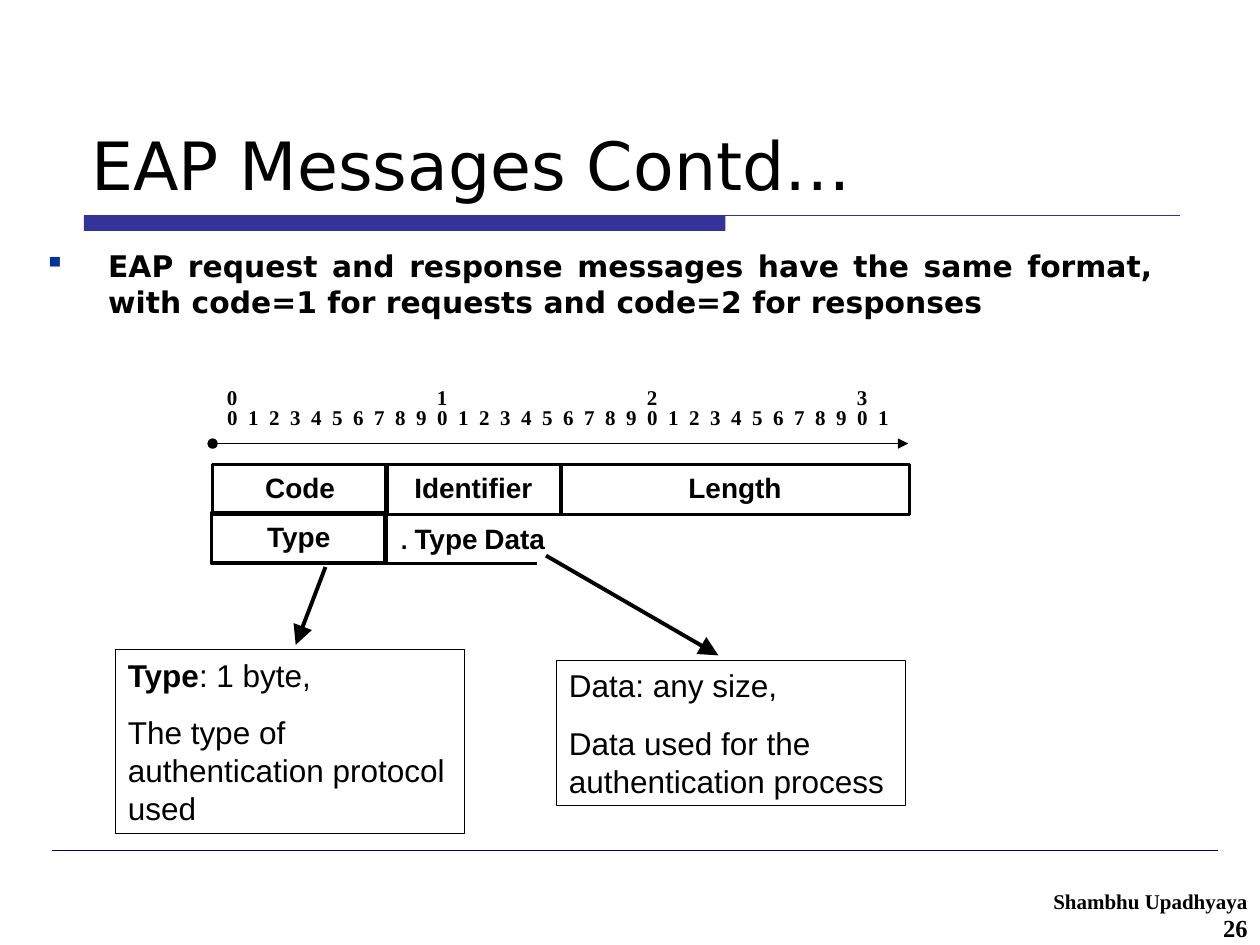
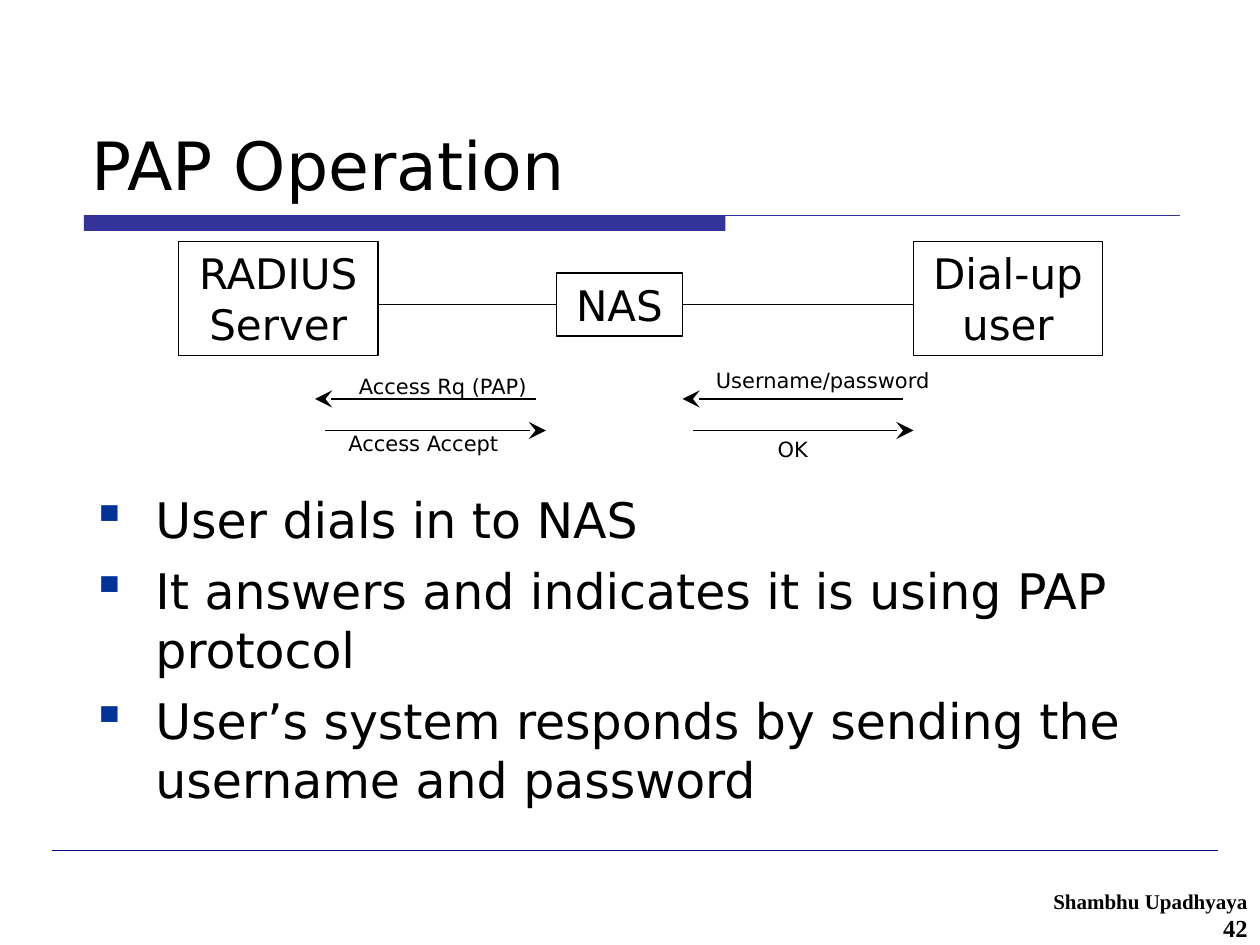
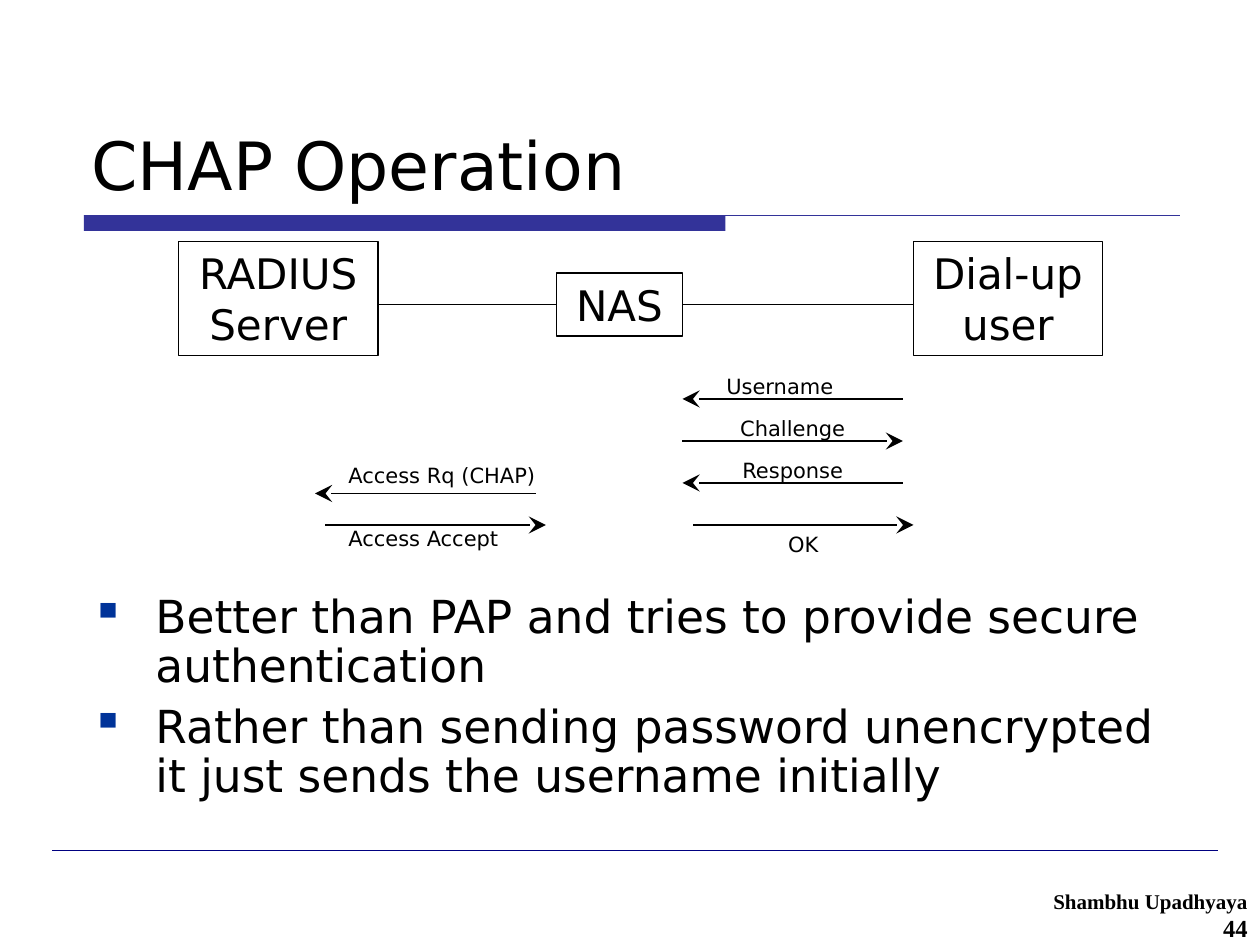
from dataclasses import dataclass
from typing import Any, NamedTuple

from lxml import etree
from pptx import Presentation
from pptx import util as u
from pptx.dml.color import RGBColor
from pptx.enum import shapes, text
from pptx.oxml import ns

BLACK, BLUE, NAVY, MARK = "000000", "333399", "000080", "003399"
SANS, ARIAL, TIMES = "DejaVu Sans", "Arial", "Times New Roman"
LEFT, MID = text.PP_ALIGN.LEFT, text.PP_ALIGN.CENTER
RIGHT, FULL = text.PP_ALIGN.RIGHT, text.PP_ALIGN.JUSTIFY
TOP, LOW = text.MSO_ANCHOR.TOP, text.MSO_ANCHOR.BOTTOM


class Area(NamedTuple):
    x: float
    y: float
    w: float
    h: float


class Bit(NamedTuple):
    words: str
    size: float | None = None
    bold: bool | None = None


@dataclass
class Line:
    x: float
    y: float
    to_x: float
    to_y: float
    width: float = 0.75
    head: str = ""
    tail: str = ""
    end: str = "lg"
    hue: str = BLACK


@dataclass
class Cell:
    words: Any
    area: Area


@dataclass
class Label:
    words: str
    x: float
    y: float
    w: float = 114
    align: Any = LEFT


def tint(hue: str) -> RGBColor:
    return RGBColor.from_string(hue)


def add(node: Any, tag: str, **attrs: str) -> Any:
    return etree.SubElement(node, ns.qn(tag), attrs)


def box(page: Any, area: Area, width: float = 0, fill: str = "") -> Any:
    shape = page.shapes.add_shape(shapes.MSO_SHAPE.RECTANGLE, *map(u.Pt, area))
    shape.shadow.inherit = False
    if fill:
        shape.fill.solid()
        shape.fill.fore_color.rgb = tint(fill)
    else:
        shape.fill.background()
    if width:
        shape.line.color.rgb = tint(BLACK)
        shape.line.width = u.Pt(width)
    else:
        shape.line.fill.background()
    return shape


def draw(page: Any, line: Line) -> None:
    ends = map(u.Pt, (line.x, line.y, line.to_x, line.to_y))
    link = page.shapes.add_connector(shapes.MSO_CONNECTOR.STRAIGHT, *ends)
    link.line.color.rgb = tint(line.hue)
    link.line.width = u.Pt(line.width)
    stroke = link.line._get_or_add_ln()
    for tag, kind in (("a:headEnd", line.head), ("a:tailEnd", line.tail)):
        if kind:
            add(stroke, tag, type=kind, w=line.end, len=line.end)
    add(link._element.spPr, "a:effectLst")


def write(shape: Any, words: str | list[list[Bit]], *, size: float, font: str = SANS,
          bold: bool = False, align: Any = LEFT, anchor: Any = TOP, before: float = 0,
          pitch: float = 1, bullet: str = "", tabs: tuple[float, ...] = ()) -> None:
    frame = shape.text_frame
    frame.word_wrap = True
    frame.vertical_anchor = anchor
    rows = [[Bit(row)] for row in words.split("\n")] if isinstance(words, str) else words
    for index, row in enumerate(rows):
        para = frame.paragraphs[0] if index == 0 else frame.add_paragraph()
        props = para._p.get_or_add_pPr()
        if bullet:
            props.set("marL", str(u.Pt(36.75)))
            props.set("indent", str(u.Pt(-36.75)))
            add(add(props, "a:buClr"), "a:srgbClr", val=MARK)
            add(props, "a:buChar", char=bullet)
        if tabs:
            stops = add(props, "a:tabLst")
            for stop in tabs:
                add(stops, "a:tab", pos=str(u.Pt(stop)), algn="l")
        para.alignment = align
        para.line_spacing = pitch
        if index:
            para.space_before = u.Pt(before)
        for bit in row:
            run = para.add_run()
            run.text = bit.words
            run.font.name = font
            run.font.size = u.Pt(bit.size or size)
            run.font.bold = bold if bit.bold is None else bit.bold
            run.font.color.rgb = tint(BLACK)


def note(page: Any, area: Area, words: str | list[list[Bit]], **form: Any) -> None:
    write(page.shapes.add_textbox(*map(u.Pt, area)), words, **form)


def start(deck: Any, title: str, number: int) -> Any:
    page = deck.slides.add_slide(deck.slide_layouts[6])
    box(page, Area(48, 123, 366.5, 9), fill=BLUE)
    draw(page, Line(48, 123, 674.5, 123, hue=BLUE))
    draw(page, Line(30, 486, 696, 486, width=0.25, hue=NAVY))
    note(page, Area(558, 504, 162, 36),
         [[Bit("Shambhu Upadhyaya")], [Bit(str(number), 14)]],
         size=12, font=TIMES, bold=True, align=RIGHT)
    note(page, Area(45, 24, 630, 96), title, size=38, anchor=LOW)
    return page


def ruler(page: Any) -> None:
    bold = dict(size=12, font=TIMES, bold=True)
    note(page, Area(122.75, 227.5, 397.5, 21.5), "\t".join(str(bit % 10) for bit in range(32)),
         tabs=tuple(12 * bit for bit in range(1, 32)), **bold)
    note(page, Area(122.5, 216, 397.5, 21.5), "\t".join(map(str, range(4))),
         tabs=(120, 240, 360), **bold)
    draw(page, Line(121.5, 253.5, 519, 253.5, head="oval", tail="triangle", end="med"))


def packet(deck: Any) -> None:
    page = start(deck, "EAP Messages Contd…", 26)
    note(page, Area(18, 138, 648, 356),
         "EAP request and response messages have the same format, "
         "with code=1 for requests and code=2 for responses",
         size=17, bold=True, align=FULL, bullet="▪")
    ruler(page)
    fields = (
        Cell("Code", Area(121.5, 265.5, 100, 28.5)),
        Cell("Identifier", Area(220.5, 265.5, 100, 28.5)),
        Cell("Length", Area(320.25, 265.5, 199.5, 28.5)),
        Cell("Type", Area(120.75, 293.25, 100, 28.5)),
    )
    for cell in fields:
        write(box(page, cell.area, 2), cell.words, size=16, font=ARIAL, bold=True, align=MID)
    note(page, Area(221, 294.5, 98.5, 28.5),
         [[Bit(". ", 14), Bit("Type"), Bit(" ", 14), Bit("Data")]],
         size=16, font=ARIAL, bold=True, align=MID)
    for line in (
        Line(219.75, 293.25, 219.75, 322, 2),
        Line(306.75, 322, 219, 322, 2),
        Line(186, 324, 169, 368.5, 2.25, tail="triangle"),
        Line(312, 317.5, 410.5, 374.5, 2.25, tail="triangle"),
    ):
        draw(page, line)
    kind = [[Bit("Type", bold=True), Bit(": 1 byte,")],
            [Bit("The type of authentication protocol used")]]
    data = "Data: any size,\nData used for the authentication process"
    for cell in (Cell(kind, Area(66, 371.25, 199.5, 105)),
                 Cell(data, Area(318, 377.25, 199.5, 83.25))):
        write(box(page, cell.area, 0.75), cell.words, size=18, font=ARIAL, before=11.25)


def flow(page: Any, lines: tuple[Line, ...], labels: tuple[Label, ...]) -> None:
    hosts = (
        Cell("RADIUS Server", Area(102, 138, 114, 65)),
        Cell("NAS", Area(318, 156, 72, 36)),
        Cell("Dial-up user", Area(522, 138, 108, 65)),
    )
    for host in hosts:
        write(box(page, host.area, 0.75), host.words, size=24, align=MID)
    for near, far in zip(hosts, hosts[1:]):
        draw(page, Line(near.area.x + near.area.w, 174, far.area.x, 174))
    for line in lines:
        draw(page, line)
    for tag in labels:
        note(page, Area(tag.x, tag.y, tag.w, 21.5), tag.words, size=12, align=tag.align)


def send(x: float, to_x: float, y: float) -> Line:
    return Line(x, y, to_x, y, tail="stealth")


def pap(deck: Any) -> None:
    page = start(deck, "PAP Operation", 42)
    flow(page,
         (send(306, 180, 228), send(516, 390, 228),
          send(186, 312, 246), send(396, 522, 246)),
         (Label("Access Rq (PAP)", 198, 210),
          Label("Access Accept", 192, 242.5),
          Label("Username/password", 402, 206.5, 138),
          Label("OK", 396, 246, align=MID)))
    note(page, Area(45, 276, 630, 198),
         "User dials in to NAS\n"
         "It answers and indicates it is using PAP protocol\n"
         "User’s system responds by sending the username and password",
         size=28, before=7, bullet="▪")


def chap(deck: Any) -> None:
    page = start(deck, "CHAP Operation", 44)
    flow(page,
         (send(516, 390, 228), send(390, 516, 252), send(516, 390, 276),
          send(306, 180, 282), send(186, 312, 300), send(396, 522, 300)),
         (Label("Username", 408, 210, 138),
          Label("Challenge", 396, 234, align=MID),
          Label("Response", 396, 258, align=MID),
          Label("Access Rq (CHAP)", 192, 260.5, 126),
          Label("Access Accept", 192, 296.5),
          Label("OK", 402, 300, align=MID)))
    note(page, Area(45, 336, 630, 138),
         "Better than PAP and tries to provide secure authentication\n"
         "Rather than sending password unencrypted it just sends the username initially",
         size=26, before=6.5, pitch=0.9, bullet="▪")


def main() -> None:
    deck = Presentation()
    deck.slide_width, deck.slide_height = u.Pt(720), u.Pt(540)
    for build in (packet, pap, chap):
        build(deck)
    deck.save("out.pptx")


if __name__ == "__main__":
    main()
